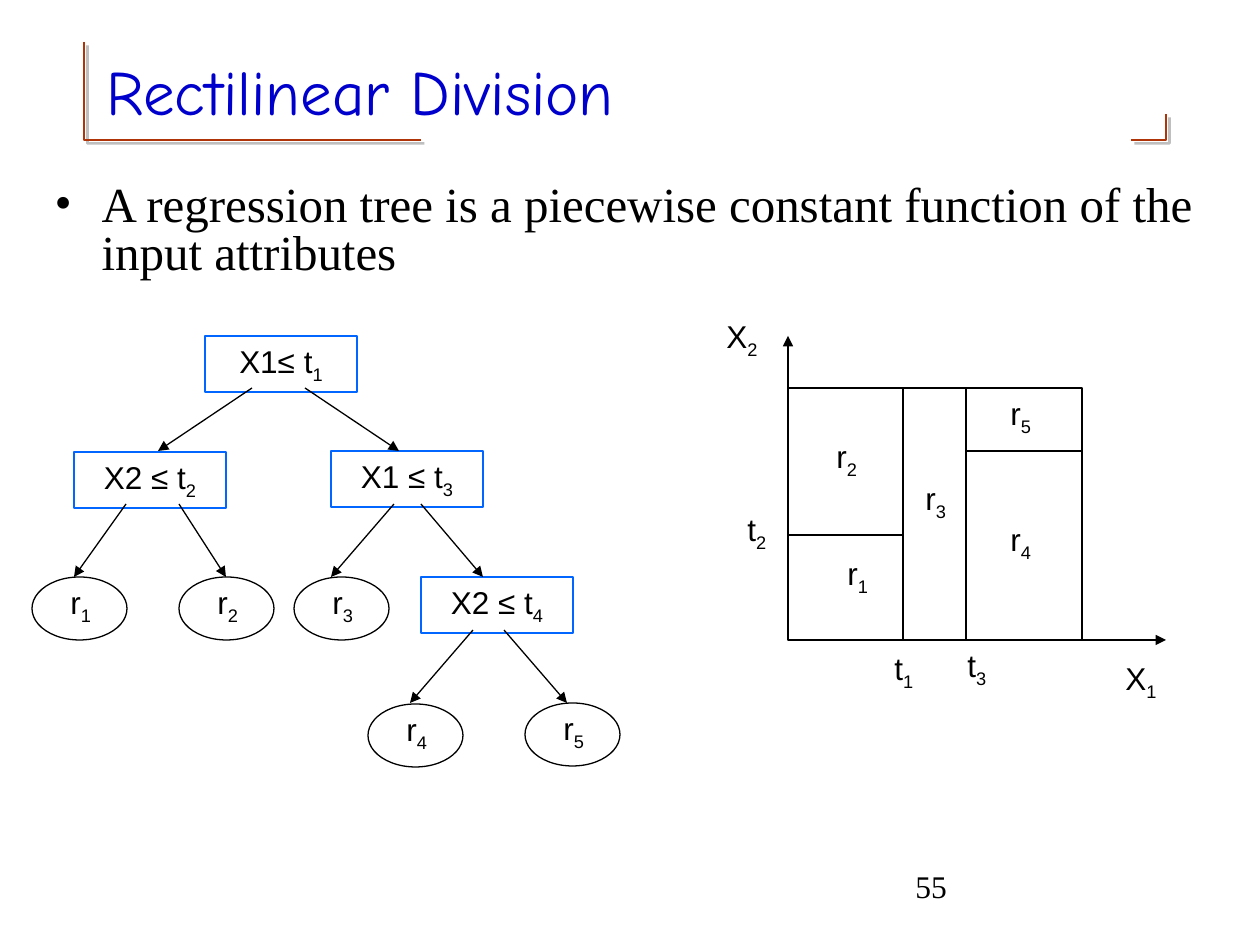
from lxml.etree import SubElement
from pptx import Presentation
from pptx.dml.color import RGBColor
from pptx.enum.shapes import MSO_CONNECTOR, MSO_SHAPE
from pptx.enum.text import MSO_ANCHOR, MSO_AUTO_SIZE, PP_ALIGN
from pptx.oxml.ns import qn
from pptx.util import Pt

SCALE = 914400 / 126
BLACK = RGBColor(0x00, 0x00, 0x00)
TITLE_BLUE = RGBColor(0x00, 0x00, 0xCC)
NODE_BLUE = RGBColor(0x00, 0x66, 0xFF)
RUST = RGBColor(0xAF, 0x34, 0x08)

TITLE = "Rectilinear Division"
BODY = "A regression tree is a piecewise constant function of the input attributes"
PAGE_NUMBER = "55"

CORNERS = [
    [(84, 42), (84, 140), (421, 140)],
    [(1166, 114), (1166, 140), (1131, 140)],
]

DECISION_SIZE = (152, 56)
DECISIONS = [
    ("X1≤ t", "1", 205, 336),
    ("X2 ≤ t", "2", 74, 452),
    ("X1 ≤ t", "3", 331, 451),
    ("X2 ≤ t", "4", 421, 577),
]
LEAF_SIZE = (95, 63)
LEAF_INDENT = 26
LEAVES = [("1", 32, 577), ("2", 179, 577), ("3", 294, 577), ("4", 368, 704), ("5", 525, 703)]
BRANCHES = [
    (252, 388, 158, 451), (305, 388, 399, 451),
    (126, 504, 74, 577), (179, 504, 226, 577),
    (394, 504, 331, 577), (421, 504, 483, 577),
    (473, 630, 410, 703), (504, 630, 567, 703),
]

AXES = [(788, 640, 788, 336), (788, 640, 1166, 640)]
X_EDGES = [788, 903, 966, 1082]
Y_EDGES = [388, 451, 535, 640]
REGIONS = [(0, 1, 2, 3), (0, 1, 0, 2), (1, 2, 0, 3), (2, 3, 0, 1), (2, 3, 1, 3)]
LABEL_HEIGHT = 55
LABEL_WIDTHS = {"r": 68, "t": 63, "X": 84}
PLOT_LABELS = [
    ("r", "2", 824, 431), ("r", "1", 835, 548), ("r", "3", 913, 473),
    ("r", "5", 998, 388), ("r", "4", 998, 514),
    ("t", "2", 735, 504), ("t", "1", 882, 643), ("t", "3", 955, 640),
    ("X", "1", 1113, 653), ("X", "2", 714, 311),
]


def px(*values):
    return [round(value * SCALE) for value in values]


def write_text(shape, text, subscript="", font="Arial", size=18, color=BLACK,
               align=PP_ALIGN.LEFT, anchor=MSO_ANCHOR.TOP, before=11.2):
    frame = shape.text_frame
    frame.word_wrap = True
    frame.auto_size = MSO_AUTO_SIZE.NONE
    frame.vertical_anchor = anchor
    paragraph = frame.paragraphs[0]
    paragraph.alignment = align
    paragraph.space_before = Pt(before)
    for part in filter(None, (text, subscript)):
        run = paragraph.add_run()
        run.text = part
        run.font.name = font
        run.font.size = Pt(size)
        run.font.color.rgb = color
    if subscript:
        run.font._element.set("baseline", "-25000")
    return paragraph


def add_outline(shapes, kind, box, color=BLACK):
    shape = shapes.add_shape(kind, *px(*box))
    shape.shadow.inherit = False
    shape.fill.background()
    shape.line.color.rgb = color
    shape.line.width = Pt(0.75)
    return shape


def add_label(shapes, text, subscript, left, top):
    box = shapes.add_textbox(*px(left, top, LABEL_WIDTHS[text], LABEL_HEIGHT))
    write_text(box, text, subscript)


def add_arrow(shapes, ends):
    arrow = shapes.add_connector(MSO_CONNECTOR.STRAIGHT, *px(*ends))
    arrow.line.color.rgb = BLACK
    arrow.line.width = Pt(0.75)
    SubElement(arrow.line._get_or_add_ln(), qn("a:tailEnd"), type="triangle")
    SubElement(arrow._element.spPr, qn("a:effectLst"))


def add_corner(shapes, points):
    builder = shapes.build_freeform(*points[0], scale=SCALE)
    builder.add_line_segments(points[1:], close=False)
    corner = builder.convert_to_shape()
    corner.fill.background()
    corner.line.color.rgb = RUST
    corner.line.width = Pt(1.5)
    effects = SubElement(corner._element.spPr, qn("a:effectLst"))
    shadow = SubElement(effects, qn("a:outerShdw"), dist=str(Pt(2.8)), dir="2700000",
                        algn="ctr", rotWithShape="0")
    shade = SubElement(shadow, qn("a:srgbClr"), val="808080")
    SubElement(shade, qn("a:alpha"), val="50000")


def place(shape, *box):
    shape.left, shape.top, shape.width, shape.height = px(*box)


def add_bullet(paragraph, indent):
    properties = paragraph._p.get_or_add_pPr()
    properties.set("marL", str(indent))
    properties.set("indent", str(-indent))
    SubElement(properties, qn("a:buFont"), typeface="Times New Roman")
    SubElement(properties, qn("a:buChar"), char="•")


def main():
    presentation = Presentation()
    presentation.slide_width, presentation.slide_height = px(1260, 945)
    slide = presentation.slides.add_slide(presentation.slide_layouts[1])
    shapes = slide.shapes
    title, body = slide.placeholders

    for points in CORNERS:
        add_corner(shapes, points)
    place(title, 94, 32, 1071, 116)
    write_text(title, TITLE, font="Comic Neue", size=36, color=TITLE_BLUE,
               anchor=MSO_ANCHOR.MIDDLE, before=0)
    place(body, 42, 179, 1177, 116)
    paragraph = write_text(body, BODY, font="Times New Roman", size=28, before=12.2)
    paragraph.line_spacing = 0.8
    add_bullet(paragraph, px(47)[0])
    number = shapes.add_textbox(*px(903, 861, 315, 66))
    write_text(number, PAGE_NUMBER, font="Times New Roman", before=0)

    for text, subscript, left, top in DECISIONS:
        node = add_outline(shapes, MSO_SHAPE.RECTANGLE, (left, top, *DECISION_SIZE), NODE_BLUE)
        write_text(node, text, subscript, align=PP_ALIGN.CENTER)
    for subscript, left, top in LEAVES:
        leaf = shapes.add_group_shape().shapes
        add_outline(leaf, MSO_SHAPE.OVAL, (left, top, *LEAF_SIZE))
        add_label(leaf, "r", subscript, left + LEAF_INDENT, top)
    for ends in BRANCHES + AXES:
        add_arrow(shapes, ends)

    for first_x, last_x, first_y, last_y in REGIONS:
        left, top = X_EDGES[first_x], Y_EDGES[first_y]
        size = (X_EDGES[last_x] - left, Y_EDGES[last_y] - top)
        add_outline(shapes, MSO_SHAPE.RECTANGLE, (left, top, *size))
    for label in PLOT_LABELS:
        add_label(shapes, *label)

    presentation.save("out.pptx")


if __name__ == "__main__":
    main()
